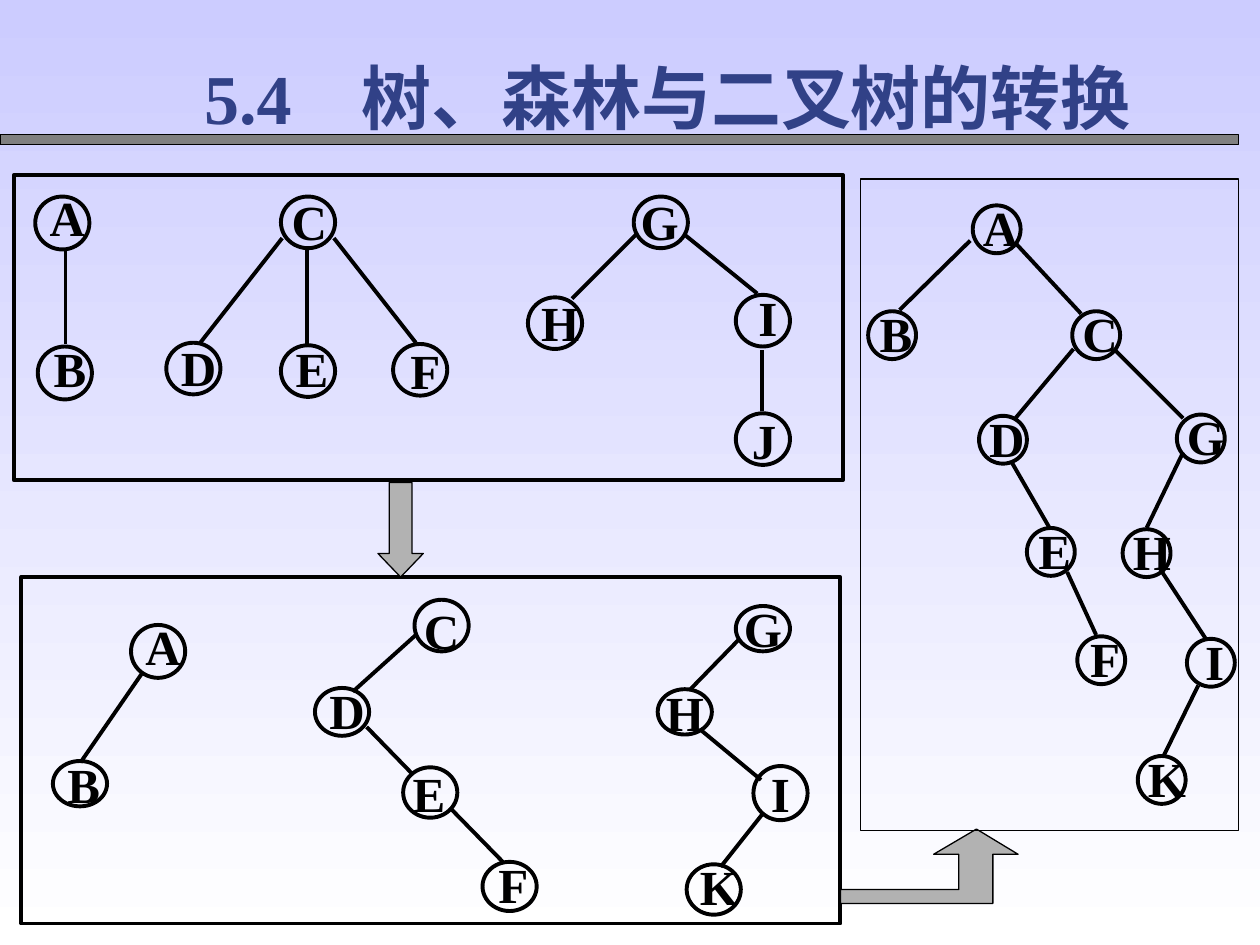
"""Build a slide showing how a forest is converted into a binary tree."""
from lxml.etree import SubElement
from pptx import Presentation
from pptx.dml.color import RGBColor
from pptx.enum.shapes import MSO_CONNECTOR, MSO_SHAPE
from pptx.enum.text import MSO_ANCHOR, MSO_AUTO_SIZE, PP_ALIGN
from pptx.oxml.ns import qn
from pptx.util import Inches, Pt

COLORS = {"ink": "000000", "title": "314187", "bar": "808080", "arrow": "B2B2B2",
          "sky": "CCCCFF", "white": "FFFFFF"}

FOREST = {
    "nodes": [
        ("F", 3.12, 2.73, 0.41, 3.19, 2.68), ("E", 2.23, 2.74, 0.41, 2.29, 2.67),
        ("D", 1.32, 2.72, 0.41, 1.39, 2.66), ("C", 2.23, 1.56, 0.41, 2.27, 1.5),
        ("B", 0.3, 2.75, 0.42, 0.37, 2.67), ("A", 0.28, 1.56, 0.42, 0.35, 1.47),
        ("G", 5.03, 1.56, 0.41, 5.05, 1.5), ("H", 4.19, 2.36, 0.41, 4.26, 2.3),
        ("I", 5.84, 2.34, 0.41, 5.91, 2.26), ("J", 5.84, 3.28, 0.41, 5.88, 3.24),
    ],
    "edges": [
        (2.44, 1.98, 2.44, 2.73), (2.24, 1.89, 1.59, 2.72), (2.65, 1.89, 3.3, 2.72),
        (0.52, 1.98, 0.52, 2.73), (5.06, 1.85, 4.54, 2.37), (5.43, 1.86, 6.01, 2.33),
        (6.05, 2.78, 6.05, 3.26),
    ],
}
BINARY_TREES = {
    "nodes": [
        ("B", 0.42, 6.04, 0.36, 0.48, 5.97), ("A", 1.04, 4.96, 0.42, 1.11, 4.87),
        ("F", 3.83, 6.84, 0.39, 3.89, 6.76), ("E", 3.2, 6.09, 0.4, 3.22, 6.04),
        ("D", 2.5, 5.46, 0.38, 2.57, 5.38), ("C", 3.29, 4.76, 0.41, 3.32, 4.75),
        ("G", 5.84, 4.81, 0.36, 5.87, 4.73), ("H", 5.22, 5.47, 0.36, 5.25, 5.4),
        ("I", 5.98, 6.08, 0.43, 6.01, 6.04), ("K", 5.45, 6.86, 0.4, 5.52, 6.78),
    ],
    "edges": [
        (1.13, 5.34, 0.64, 6.05), (3.3, 5.04, 2.8, 5.49), (2.91, 5.77, 3.28, 6.15),
        (3.57, 6.41, 4, 6.85), (5.87, 5.07, 5.48, 5.47), (5.57, 5.8, 6.04, 6.19),
        (6.06, 6.45, 5.72, 6.88),
    ],
}
MERGED_CIRCLES = [
    ("K", 9.03, 6), ("I", 9.42, 5.07), ("F", 8.55, 5.05), ("E", 8.15, 4.19),
    ("H", 8.91, 4.2), ("A", 7.72, 1.63), ("B", 6.89, 2.47), ("C", 8.51, 2.47),
    ("G", 9.34, 3.29), ("D", 7.77, 3.3),
]
MERGED_TREE = {
    "nodes": [(letter, x, y, 0.38, x + 0.06, y - 0.08) for letter, x, y in MERGED_CIRCLES],
    "edges": [
        (8.03, 3.67, 8.33, 4.19), (8.47, 4.54, 8.7, 5.04), (9.39, 3.59, 9.1, 4.19),
        (9.21, 4.52, 9.57, 5.07), (9.51, 5.44, 9.24, 5.99), (7.7, 1.91, 7.14, 2.46),
        (8.06, 1.93, 8.58, 2.49), (8.52, 2.77, 8.05, 3.33), (8.85, 2.78, 9.39, 3.32),
    ],
}
BENT_ARROW = [(6.67, 7.06), (7.61, 7.06), (7.61, 6.78), (7.41, 6.78), (7.75, 6.58),
              (8.08, 6.78), (7.88, 6.78), (7.88, 7.17), (6.67, 7.17)]


class TreeSlide:
    """Hold the slide and its style, and draw each kind of element."""

    font = "Times New Roman"

    def __init__(self, deck):
        """Add a title-only slide with a gradient background."""
        self.slide = deck.slides.add_slide(deck.slide_layouts[5])
        self.shapes = self.slide.shapes
        fill = self.slide.background.fill
        fill.gradient()
        fill.gradient_angle = 270
        for stop, name, position in zip(fill.gradient_stops, ("sky", "white"), (0, 1)):
            stop.color.rgb = self.color(name)
            stop.position = position

    def color(self, name):
        """Return a named colour."""
        return RGBColor.from_string(COLORS[name])

    def add_text(self, frame, text, size, color, align):
        """Put one bold run at the top of a text frame."""
        frame.word_wrap = True
        frame.vertical_anchor = MSO_ANCHOR.TOP
        paragraph = frame.paragraphs[0]
        paragraph.alignment = align
        run = paragraph.add_run()
        run.text = text
        run.font.name = self.font
        run.font.size = Pt(size)
        run.font.bold = True
        run.font.color.rgb = self.color(color)

    def title(self, text, left, top, width, height):
        """Move and fill the title placeholder."""
        heading = self.shapes.title
        heading.left, heading.top = Inches(left), Inches(top)
        heading.width, heading.height = Inches(width), Inches(height)
        self.add_text(heading.text_frame, text, 40, "title", PP_ALIGN.JUSTIFY)
        heading.text_frame.auto_size = MSO_AUTO_SIZE.SHAPE_TO_FIT_TEXT

    def paint(self, shape, fill, weight):
        """Set the fill and outline of a shape."""
        shape.shadow.inherit = False
        if fill:
            shape.fill.solid()
            shape.fill.fore_color.rgb = self.color(fill)
        else:
            shape.fill.background()
        shape.line.color.rgb = self.color("ink")
        shape.line.width = Pt(weight)

    def shape(self, kind, left, top, width, height, fill=None, weight=2.25):
        """Draw a preset shape."""
        shape = self.shapes.add_shape(
            kind, Inches(left), Inches(top), Inches(width), Inches(height))
        self.paint(shape, fill, weight)
        return shape

    def outline(self, points, fill):
        """Draw a closed polygon."""
        corners = [(Inches(x), Inches(y)) for x, y in points]
        builder = self.shapes.build_freeform(*corners[0])
        builder.add_line_segments(corners[1:], close=True)
        self.paint(builder.convert_to_shape(), fill, 0.75)

    def node(self, letter, left, top, width, height, text_left, text_top):
        """Draw a letter with its circle."""
        label = self.shapes.add_textbox(
            Inches(text_left), Inches(text_top), Inches(width - 0.06), Inches(0.46))
        frame = label.text_frame
        frame.margin_left = frame.margin_right = frame.margin_top = Inches(0.02)
        frame.margin_bottom = Inches(0.01)
        self.add_text(frame, letter, 28, "ink", PP_ALIGN.CENTER)
        self.shape(MSO_SHAPE.OVAL, left, top, width, height)

    def edge(self, x1, y1, x2, y2):
        """Draw a branch between two nodes."""
        branch = self.shapes.add_connector(
            MSO_CONNECTOR.STRAIGHT, Inches(x1), Inches(y1), Inches(x2), Inches(y2))
        branch.line.color.rgb = self.color("ink")
        branch.line.width = Pt(2.25)
        SubElement(branch._element.spPr, qn("a:effectLst"))

    def tree(self, parts, width):
        """Draw all nodes and branches of a panel."""
        for letter, left, top, height, text_left, text_top in parts["nodes"]:
            self.node(letter, left, top, width, height, text_left, text_top)
        for ends in parts["edges"]:
            self.edge(*ends)


def main():
    """Build and save the slide."""
    deck = Presentation()
    deck.slide_width, deck.slide_height = Inches(10), Inches(7.5)
    page = TreeSlide(deck)
    page.shape(MSO_SHAPE.RECTANGLE, 0, 1.07, 9.83, 0.08, "bar", 0.75)
    page.shape(MSO_SHAPE.RECTANGLE, 0.11, 1.39, 6.58, 2.42)
    page.tree(FOREST, 0.43)
    page.shape(MSO_SHAPE.RECTANGLE, 0.17, 4.58, 6.5, 2.75)
    page.tree(BINARY_TREES, 0.43)
    down_arrow = page.shape(MSO_SHAPE.DOWN_ARROW, 3, 3.83, 0.36, 0.75, "arrow", 0.75)
    down_arrow.adjustments[1] = 0.52
    page.outline(BENT_ARROW, "arrow")
    page.shape(MSO_SHAPE.RECTANGLE, 6.83, 1.42, 3, 5.17, weight=0.75)
    page.tree(MERGED_TREE, 0.38)
    page.title("5.4　树、森林与二叉树的转换", 1.52, 0.38, 7.71, 0.77)
    deck.save("out.pptx")


if __name__ == "__main__":
    main()
